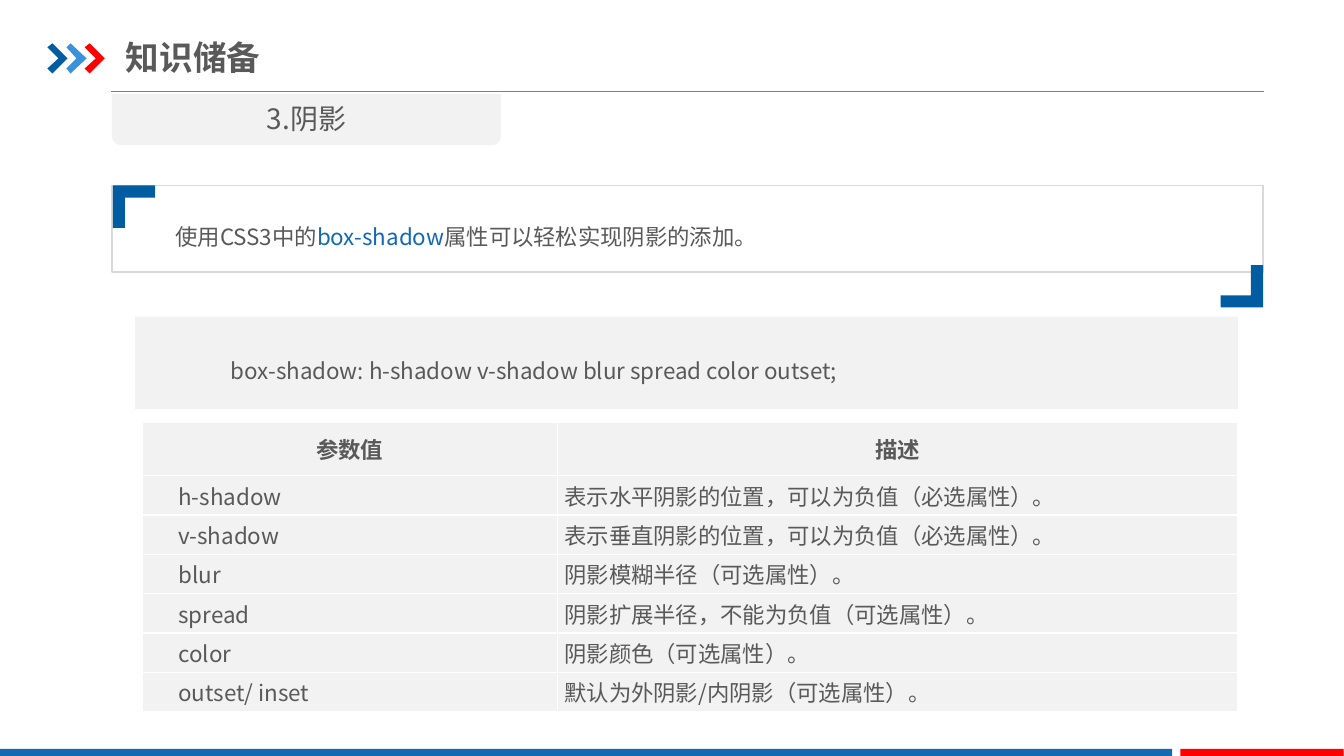
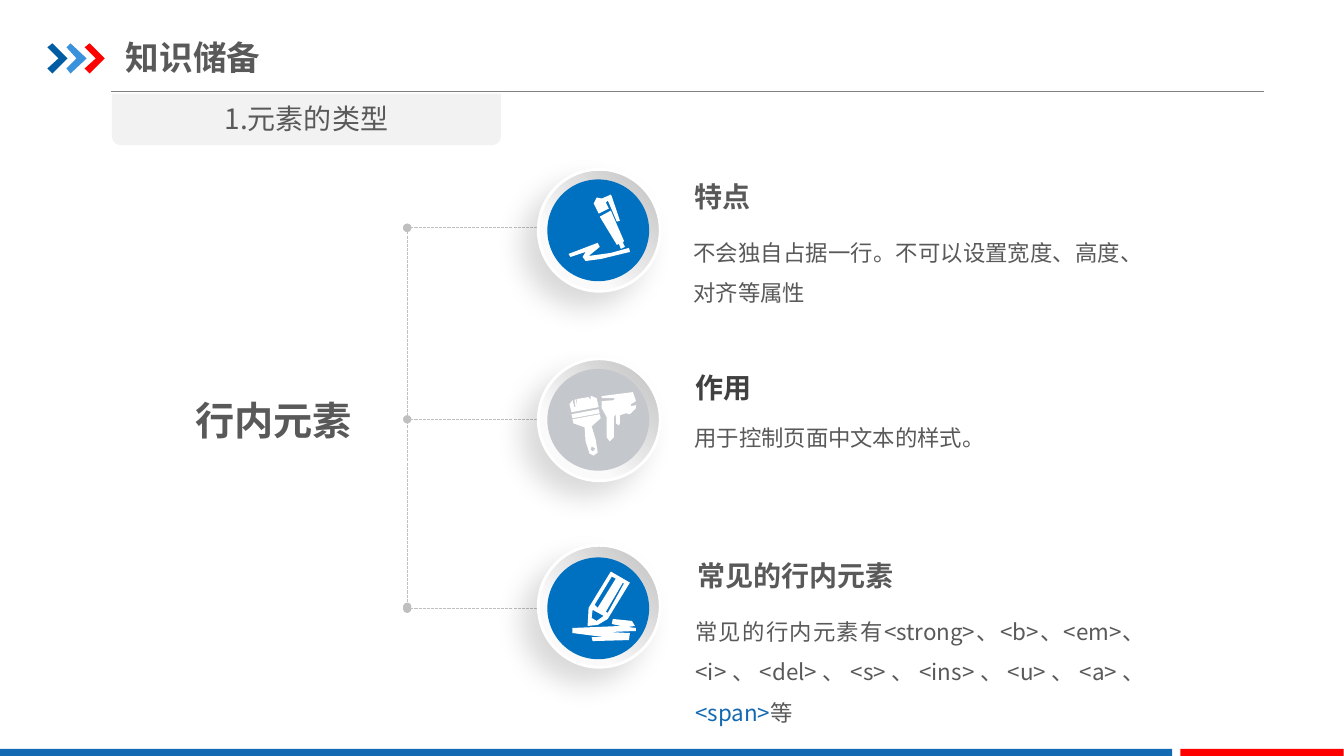
import pptx
import pptx.util
import pptx.dml.color
import pptx.enum.dml
import pptx.enum.shapes
import pptx.enum.text
import pptx.oxml.ns
from lxml import etree

rgb = pptx.dml.color.RGBColor.from_string
qn = pptx.oxml.ns.qn
SHAPE = pptx.enum.shapes.MSO_SHAPE
ALIGN = pptx.enum.text.PP_ALIGN
ANCHOR = pptx.enum.text.MSO_ANCHOR

FONT = "Noto Sans CJK SC"
GREY, DARK, PALE, SILVER, WHITE = "595959", "404040", "F2F2F2", "BFBFBF", "FFFFFF"
BLUE, NAVY, SKY, RED, AZURE, MIST = "1369B2", "005DA2", "3992DB", "FF0000", "0070C0", "C4C7CB"

deck = pptx.Presentation()
deck.slide_height = pptx.util.Inches(7.5)
deck.slide_width = deck.slide_height * 16 // 9
CELL = deck.slide_height / 75
FLUSH, PADDED = (0, 0, 0, 0), (1, 0.5, 1, 0.5)


def area(*cells):
    return [pptx.util.Emu(round(count * CELL)) for count in cells]


def write(holder, runs, size, insets=FLUSH, anchor=ANCHOR.TOP, bold=False,
          align=ALIGN.LEFT, spacing=1.0):
    for side, inset in zip(("left", "top", "right", "bottom"), area(*insets)):
        setattr(holder, f"margin_{side}", inset)
    holder.vertical_anchor = anchor
    paragraph = getattr(holder, "text_frame", holder).paragraphs[0]
    for key, value in {"alignment": align, "line_spacing": spacing}.items():
        setattr(paragraph, key, value)
    for text, colour in runs:
        run = paragraph.add_run()
        run.text = text
        run.font.color.rgb = rgb(colour)
        for key, value in {"name": FONT, "size": pptx.util.Pt(size), "bold": bold}.items():
            setattr(run.font, key, value)
        etree.SubElement(run._r.get_or_add_rPr(), qn("a:ea"), typeface=FONT)


CHEVRON = [(47, 47), (52, 43), (67, 58), (52, 73), (47, 68), (58, 58)]
CORNER = [(112, 184), (154, 184), (154, 196), (124, 196), (124, 226), (112, 226)]
OPPOSITE = [(1365 - x, 489 - y) for x, y in CORNER]

PEN = [
    "595,215 606,209 619,239 618,241 620,245 616,247 614,242 612,243",
    "564,252 566,255 581,250 578,255 581,259 596,257 625,250 624,246 606,251 584,254 595,245 593,241",
    "597,197 592,196 589,202 594,212 604,207 601,201 603,199 612,220 615,219 607,195 606,193 604,194",
]
BRUSHES = [
    "615,412 615,420 614,422 611,420 611,411 609,414 609,434 605,438 602,434 602,414 597,405 597,398 "
    "609,397 610,395 597,395 597,393 628,389 631,398 626,401 626,403 631,402 631,405 625,411 621,410",
    "567,411 594,406 595,410 568,415",
    "595,411 568,416 569,420 580,424 581,438 585,450 589,452 593,449 591,436 587,423 596,415",
    "587,443 591,445 588,448 586,446",
    "594,404 592,395 587,393 586,393 586,397 584,394 572,396 573,403 573,404 571,396 570,397 571,404 "
    "570,404 568,397 565,401 567,409",
]
PENCIL = [
    "606,567 625,578 603,614 593,620 583,621 584,603",
    "624,635 625,628 604,627 631,626 631,623 623,622 630,621 627,616 608,614 607,619 616,621 568,623 "
    "568,628 599,632 587,632 588,636",
    "592,616 599,611 588,605 587,613",
    "618,578 601,607 603,608 619,579",
    "607,572 590,600 593,603 611,574",
]

slides = []
for subtitle in ("3.阴影", "1.元素的类型"):
    slide = deck.slides.add_slide(deck.slide_layouts[6])
    slides.append(slide)
    rule = slide.shapes.add_connector(
        pptx.enum.shapes.MSO_CONNECTOR.STRAIGHT, *area(11, 9.1, 125.4, 9.1))
    rule.line.color.rgb = rgb("808080")
    rule.line.width = pptx.util.Pt(0.75)
    etree.SubElement(rule._element.spPr, qn("a:effectLst"))
    for kind, box, colour, turn in (
            (SHAPE.RECTANGLE, (0, 74.3, 116.3, 0.7), BLUE, 0),
            (SHAPE.RECTANGLE, (117.1, 74.3, 16.2, 0.7), RED, 0),
            (SHAPE.ROUND_2_SAME_RECTANGLE, (11.1, 9.3, 38.6, 5.1), PALE, 180)):
        band = slide.shapes.add_shape(kind, *area(*box))
        band.shadow.inherit = False
        band.fill.solid()
        band.fill.fore_color.rgb = rgb(colour)
        band.line.fill.background()
        band.rotation = turn
    title = slide.shapes.add_textbox(*area(12.5, 2.9, 42.6, 5.5)).text_frame
    write(title, [("知识储备", GREY)], 24, (0, 0.7, 0, 0.7), ANCHOR.MIDDLE, True)
    tab = slide.shapes.add_textbox(*area(11.1, 9.6, 38.6, 4.4)).text_frame
    tab.word_wrap = True
    write(tab, [(subtitle, GREY)], 20, PADDED, align=ALIGN.CENTER)

shadow_slide, inline_slide = slides

for box, fill, edge in (((11.1, 18.4, 114.2, 8.6), None, "D9D9D9"),
                        ((13.4, 31.4, 109.4, 9.2), PALE, None)):
    panel = shadow_slide.shapes.add_shape(SHAPE.RECTANGLE, *area(*box))
    panel.shadow.inherit = False
    for paint, colour in ((panel.fill, fill), (panel.line.fill, edge)):
        if colour:
            paint.solid()
            paint.fore_color.rgb = rgb(colour)
        else:
            paint.background()
    if edge:
        panel.line.width = pptx.util.Pt(1)

for box, runs, insets, align in (
        ((17.4, 20.8, 101.7, 4),
         [("使用CSS3中的", GREY), ("box-shadow", BLUE), ("属性可以轻松实现阴影的添加。", GREY)],
         FLUSH, ALIGN.JUSTIFY),
        ((21.9, 33.6, 94.6, 6.5),
         [("box-shadow: h-shadow v-shadow blur spread color outset;", GREY)],
         PADDED, ALIGN.LEFT)):
    note = shadow_slide.shapes.add_textbox(*area(*box)).text_frame
    note.word_wrap = True
    write(note, runs, 16, insets, align=align, spacing=1.5)

parameters = [
    ("参数值", "描述"),
    ("h-shadow", "表示水平阴影的位置，可以为负值（必选属性）。"),
    ("v-shadow", "表示垂直阴影的位置，可以为负值（必选属性）。"),
    ("blur", "阴影模糊半径（可选属性）。"),
    ("spread", "阴影扩展半径，不能为负值（可选属性）。"),
    ("color", "阴影颜色（可选属性）。"),
    ("outset/ inset", "默认为外阴影/内阴影（可选属性）。"),
]
table = shadow_slide.shapes.add_table(
    len(parameters), 2, *area(14.1, 41.9, 108.7, 28.7)).table
table.horz_banding = False
for column, width in zip(table.columns, area(41.2, 67.5)):
    column.width = width
for r, entry in enumerate(parameters):
    header = r == 0
    table.rows[r].height = area(5.3 if header else 3.9)[0]
    for c, text in enumerate(entry):
        cell = table.cell(r, c)
        indent = 3.6 if c == 0 and not header else 0.7
        write(cell, [(text, GREY)], 16, (indent, 0, 0.7, 0), ANCHOR.MIDDLE, header,
              ALIGN.CENTER if header else ALIGN.JUSTIFY)
        properties = cell._tc.get_or_add_tcPr()
        for side in ("lnL", "lnR", "lnT", "lnB"):
            border = etree.SubElement(properties, qn(f"a:{side}"), w=str(pptx.util.Pt(1)))
            paint = etree.SubElement(border, qn("a:solidFill"))
            etree.SubElement(paint, qn("a:srgbClr"), val=WHITE)
        cell.fill.solid()
        cell.fill.fore_color.rgb = rgb(PALE)

trunk = 40.4
branches = (22.6, 41.6, 60.4)
for ends in [(59.8, y, trunk, y) for y in branches] + [(trunk, branches[0], trunk, 60.2)]:
    branch = inline_slide.shapes.add_connector(
        pptx.enum.shapes.MSO_CONNECTOR.STRAIGHT, *area(*ends))
    branch.line.color.rgb = rgb(SILVER)
    for key, value in {"width": pptx.util.Pt(0.75),
                       "dash_style": pptx.enum.dml.MSO_LINE.SQUARE_DOT}.items():
        setattr(branch.line, key, value)
    for end in ("headEnd", "tailEnd"):
        etree.SubElement(branch.line._get_or_add_ln(), qn(f"a:{end}"), type="oval")
    etree.SubElement(branch._element.spPr, qn("a:effectLst"))

features = [
    (16.8, 17.8, AZURE, "特点", GREY, (68.9, 17.8), (68.8, 22.4, 44.6, 8.1), 1.5,
     [("不会独自占据一行。不可以设置宽度、高度、对齐等属性", GREY)]),
    (35.6, 36.6, MIST, "作用", DARK, (69, 36.8), (68.9, 41.5, 44.6, 3), 1.2,
     [("用于控制页面中文本的样式。", GREY)]),
    (54.1, 55.3, AZURE, "常见的行内元素", GREY, (69.2, 55.4), (69, 60, 44.6, 11.6), 1.5,
     [("常见的行内元素有<strong>、<b>、<em>、<i>、<del>、<s>、<ins>、<u>、<a>、", GREY),
      ("<span>", BLUE), ("等", GREY)]),
]
for ring_top, disc_top, colour, heading, ink, corner, body_box, spacing, runs in features:
    ring = inline_slide.shapes.add_shape(SHAPE.OVAL, *area(53.4, ring_top, 12.1, 12.1))
    ring.fill.gradient()
    ring.fill.gradient_angle = 225
    for stop, (position, shade) in zip(ring.fill.gradient_stops, ((0, SILVER), (0.7, "FAFAFA"))):
        stop.position = position
        stop.color.rgb = rgb(shade)
    ring.line.color.rgb = rgb(WHITE)
    ring.line.width = pptx.util.Pt(2)
    ring.shadow.inherit = False
    glow = etree.SubElement(
        ring._element.spPr.find(qn("a:effectLst")), qn("a:outerShdw"),
        blurRad=str(pptx.util.Pt(20)), dist=str(pptx.util.Pt(15)), dir=str(135 * 60000),
        algn="tr", rotWithShape="0")
    tint = etree.SubElement(glow, qn("a:srgbClr"), val="000000")
    etree.SubElement(tint, qn("a:alpha"), val="15000")

    disc = inline_slide.shapes.add_shape(SHAPE.OVAL, *area(54.3, disc_top, 10.1, 10.1))
    disc.shadow.inherit = False
    disc.fill.solid()
    disc.fill.fore_color.rgb = rgb(colour)
    disc.line.fill.background()

    for box, content, size, bold, align, leading in (
            ((*corner, 21.7, 3.6), [(heading, ink)], 20, True, ALIGN.LEFT, 1.0),
            (body_box, runs, 16, False, ALIGN.JUSTIFY, spacing)):
        label = inline_slide.shapes.add_textbox(*area(*box)).text_frame
        label.word_wrap = True
        write(label, content, size, bold=bold, align=align, spacing=leading)

topic = inline_slide.shapes.add_textbox(*area(19.4, 39.3, 17.6, 6)).text_frame
write(topic, [("行内元素", GREY)], 28, bold=True)

outlines = [(slide, [[(x + 18.5 * i, y) for x, y in CHEVRON]], colour)
            for slide in slides for i, colour in enumerate((NAVY, SKY, RED))]
outlines += [(shadow_slide, [bracket], NAVY) for bracket in (CORNER, OPPOSITE)]
outlines += [(inline_slide,
              [[tuple(map(int, point.split(","))) for point in contour.split()] for contour in icon],
              WHITE) for icon in (PEN, BRUSHES, PENCIL)]
for slide, contours, colour in outlines:
    builder = slide.shapes.build_freeform(*contours[0][0], scale=CELL / 10)
    for i, contour in enumerate(contours):
        if i:
            builder.move_to(*contour[0])
        builder.add_line_segments(contour[1:], close=True)
    outline = builder.convert_to_shape()
    outline.shadow.inherit = False
    outline.fill.solid()
    outline.fill.fore_color.rgb = rgb(colour)
    outline.line.fill.background()

deck.save("out.pptx")
